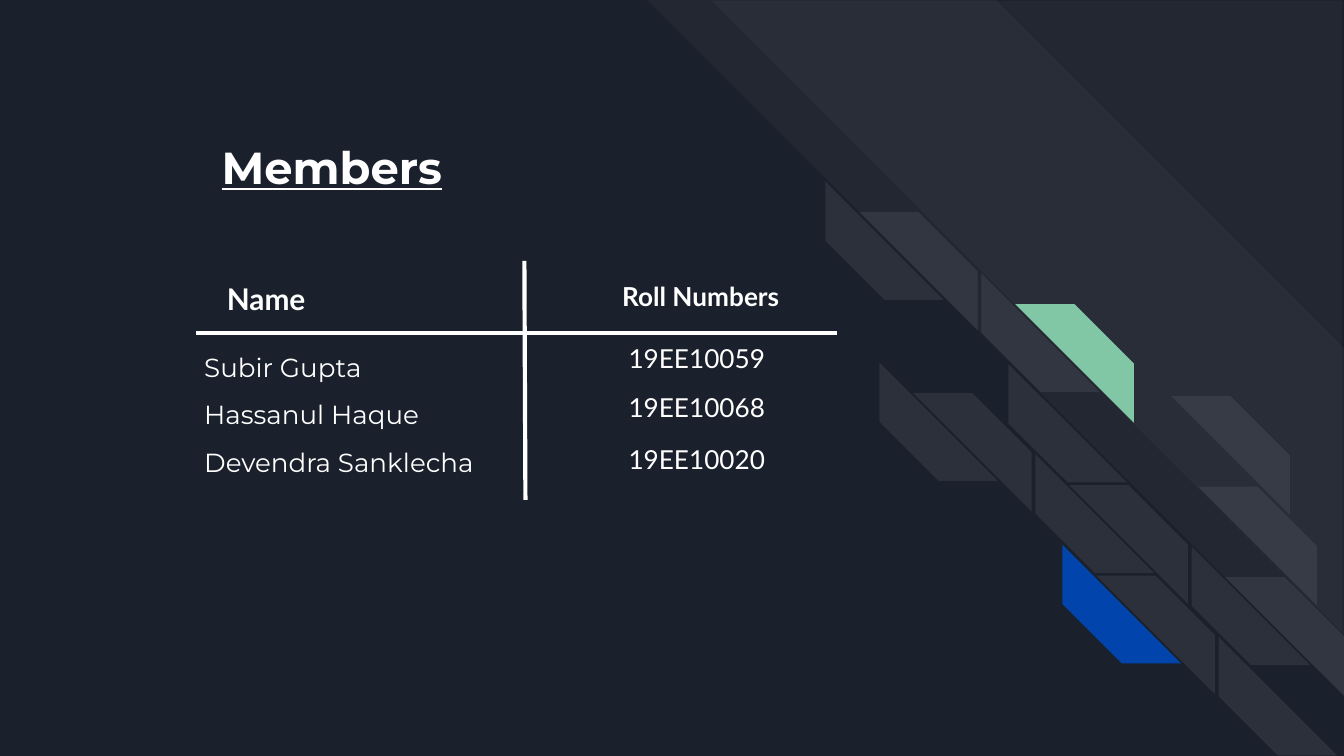
from dataclasses import dataclass

from lxml import etree
from pptx import Presentation
from pptx.dml.color import RGBColor
from pptx.enum.shapes import MSO_CONNECTOR, MSO_SHAPE
from pptx.enum.text import MSO_ANCHOR
from pptx.oxml.ns import qn
from pptx.util import Cm, Pt

STRIPE = MSO_SHAPE.DIAGONAL_STRIPE
STRAIGHT = MSO_CONNECTOR.STRAIGHT
TOP = MSO_ANCHOR.TOP
MIDDLE = MSO_ANCHOR.MIDDLE


@dataclass(frozen=True)
class Theme:
    background: str = "1B212C"
    white: str = "FFFFFF"
    green: str = "82C7A5"
    blue: str = "0145AC"
    display_font: str = "Montserrat"
    body_font: str = "Lato"
    title_size: float = 24
    heading_size: float = 16
    body_size: float = 14
    rule_width: float = 2.25
    inset: float = 0.25
    band_alpha: int = 3
    block_alpha: int = 7


class SlideBuilder:
    def __init__(self, slide, theme):
        self.slide = slide
        self.theme = theme
        fill = slide.background.fill
        fill.solid()
        fill.fore_color.rgb = RGBColor.from_string(theme.background)

    def stripe(self, left, top, width, height, color, alpha=100,
               rotation=0, flip=False, cut=0.5):
        stripe = self.slide.shapes.add_shape(
            STRIPE, Cm(left), Cm(top), Cm(width), Cm(height))
        stripe.adjustments[0] = cut
        stripe.rotation = rotation
        stripe.shadow.inherit = False
        stripe.line.fill.background()
        stripe.fill.solid()
        stripe.fill.fore_color.rgb = RGBColor.from_string(color)
        properties = stripe.element.spPr
        if flip:
            properties.find(qn("a:xfrm")).set("flipH", "1")
        if alpha < 100:
            tint = properties.find(qn("a:solidFill")).find(qn("a:srgbClr"))
            etree.SubElement(tint, qn("a:alpha")).set("val", str(alpha * 1000))

    def text(self, wording, left, top, width, height, font, size,
             bold=False, underline=False, anchor=TOP):
        box = self.slide.shapes.add_textbox(
            Cm(left), Cm(top), Cm(width), Cm(height))
        frame = box.text_frame
        frame.word_wrap = True
        frame.vertical_anchor = anchor
        frame.margin_left = frame.margin_right = Cm(self.theme.inset)
        frame.margin_top = frame.margin_bottom = Cm(self.theme.inset)
        run = frame.paragraphs[0].add_run()
        run.text = wording
        run.font.name = font
        run.font.size = Pt(size)
        run.font.bold = bold
        run.font.underline = underline
        run.font.color.rgb = RGBColor.from_string(self.theme.white)

    def rule(self, x1, y1, x2, y2):
        rule = self.slide.shapes.add_connector(
            STRAIGHT, Cm(x1), Cm(y1), Cm(x2), Cm(y2))
        rule.line.color.rgb = RGBColor.from_string(self.theme.white)
        rule.line.width = Pt(self.theme.rule_width)
        etree.SubElement(rule.element.spPr, qn("a:effectLst"))


def draw_pattern(builder):
    theme = builder.theme
    builder.stripe(12.24, 0, 13.16, 13.16, theme.white, theme.band_alpha, 90)
    builder.stripe(13.44, 0.03, 11.94, 11.91, theme.white, theme.band_alpha,
                   90, cut=0)

    side = 2.24
    faint = (theme.white, theme.block_alpha)
    green, blue = (theme.green, 100), (theme.blue, 100)
    blocks = [
        (0, 0, faint, faint), (0, 2, faint, faint),
        (1, 0, faint, green), (1, 1, faint, None),
        (2, 0, None, faint), (2, 1, None, faint),
        (1, 2, faint, faint), (1, 3, blue, faint),
        (2, 2, faint, faint), (2, 3, faint, None),
    ]
    for column, row, lower, upper in blocks:
        left = 15.6 + 2.95 * column + 0.51 * row
        top = 3.43 + 1.74 * column + 1.71 * row
        if lower:
            builder.stripe(left, top, side, side, *lower, rotation=270)
        if upper:
            builder.stripe(left + 0.64, top + 0.58, side, side, *upper,
                           flip=True)


def draw_members(builder):
    theme = builder.theme
    builder.text("Members", 3.94, 2.39, 5, 1.35, theme.display_font,
                 theme.title_size, bold=True, underline=True)
    builder.text("Name", 4.04, 5.05, 2.34, 1.19, theme.body_font,
                 theme.heading_size, bold=True)
    builder.text("Roll Numbers", 11.51, 5.05, 3.61, 1.12, theme.body_font,
                 theme.body_size, bold=True)
    builder.rule(9.91, 4.93, 9.93, 9.45)
    builder.rule(3.71, 6.3, 15.82, 6.3)

    members = [
        ("Subir Gupta", "19EE10059", 6.22),
        ("Hassanul Haque", "19EE10068", 7.14),
        ("Devendra Sanklecha", "19EE10020", 8.13),
    ]
    for index, (name, roll_number, roll_top) in enumerate(members):
        builder.text(name, 3.61, 6.48 + 0.9 * index, 5.66, 0.91,
                     theme.display_font, theme.body_size, anchor=MIDDLE)
        builder.text(roll_number, 11.63, roll_top, 3.43, 1.12,
                     theme.body_font, theme.body_size)


def main():
    deck = Presentation()
    deck.slide_width = Cm(25.4)
    deck.slide_height = Cm(14.29)
    builder = SlideBuilder(deck.slides.add_slide(deck.slide_layouts[6]), Theme())
    draw_pattern(builder)
    draw_members(builder)
    deck.save("out.pptx")


if __name__ == "__main__":
    main()
